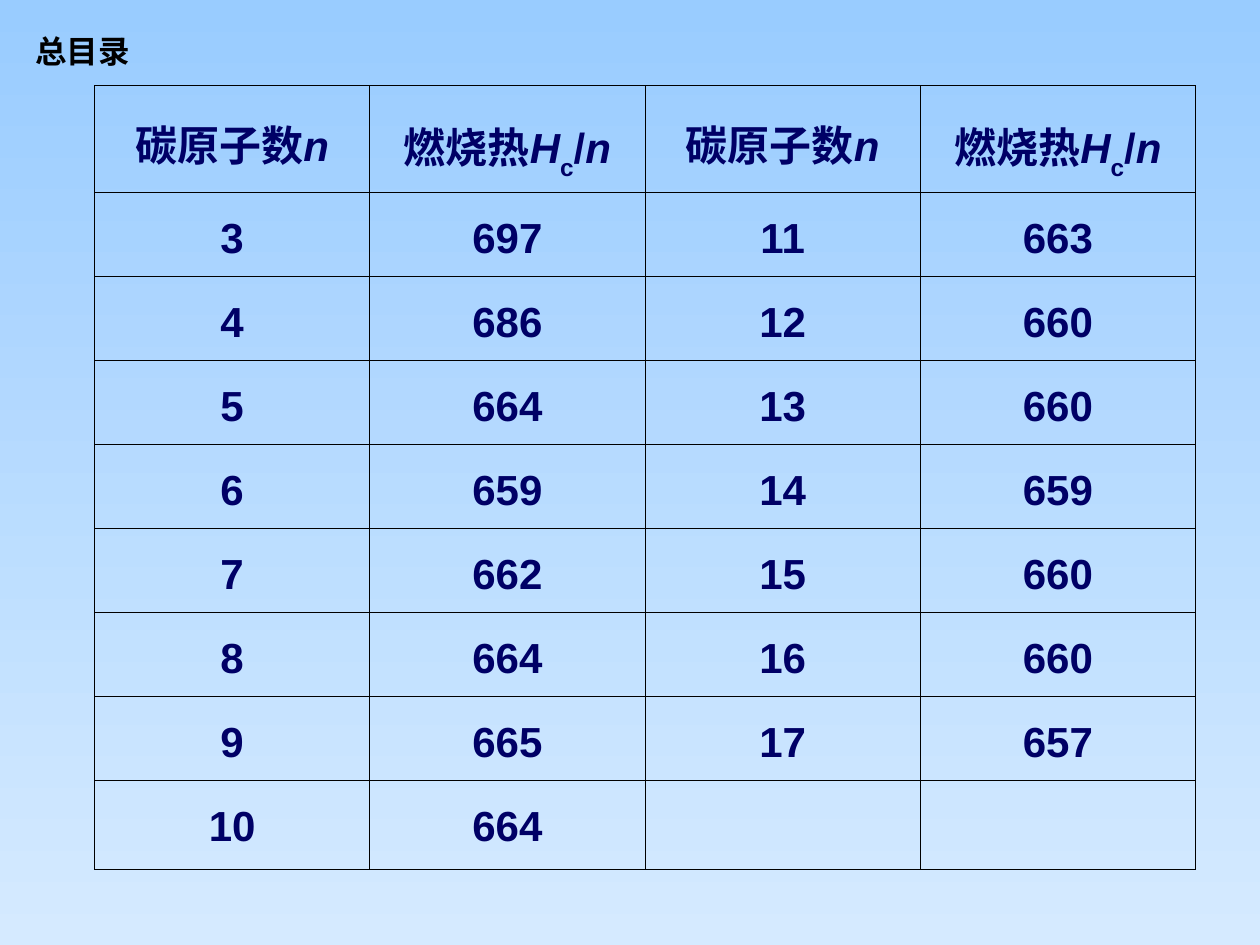
from lxml.etree import SubElement
from pptx import Presentation
from pptx.dml.color import RGBColor
from pptx.enum.text import MSO_AUTO_SIZE as AutoSize, PP_ALIGN as Align
from pptx.oxml.ns import qn
from pptx.util import Pt

COLORS = {"sky": "99CCFF", "pale": "D5EAFF", "navy": "000066", "black": "000000"}
LABEL = "总目录"
CARBON_HEADER = [("碳原子数", ""), ("n", "italic")]
HEAT_HEADER = [("燃烧热", ""), ("H", "italic"), ("c", "subscript"), ("/", ""), ("n", "italic")]
HEATS = [697, 686, 664, 659, 662, 664, 665, 664, 663, 660, 660, 659, 660, 660, 657]
FIRST_CARBON = 3
BODY_ROWS = 8
TABLE_LEFT, TABLE_TOP = 54, 48.8
COLUMN_WIDTH = 157.3
HEADER_HEIGHT, BODY_HEIGHT, LAST_HEIGHT = 61.2, 48, 50.6


def write_text(frame, runs, size=24, font="Arial", color="navy", align=Align.LEFT, spacing=None):
    """Write styled runs into the first paragraph of a text frame."""
    paragraph = frame.paragraphs[0]
    paragraph.alignment = align
    paragraph.line_spacing = spacing
    for text, style in runs:
        run = paragraph.add_run()
        run.text = text
        run.font.size = Pt(size)
        run.font.name = font
        run.font.bold = True
        run.font.italic = style == "italic"
        run.font.color.rgb = RGBColor.from_string(COLORS[color])
        if style == "subscript":
            run.font._element.set("baseline", "-30000")


def add_borders(cell, width=0.4):
    """Draw a thin black line on each side of a cell."""
    properties = cell._tc.get_or_add_tcPr()
    for index, side in enumerate(("a:lnL", "a:lnR", "a:lnT", "a:lnB")):
        line = properties.makeelement(qn(side), {"w": str(Pt(width))})
        fill = SubElement(line, qn("a:solidFill"))
        SubElement(fill, qn("a:srgbClr"), val=COLORS["black"])
        properties.insert(index, line)


def build_rows():
    """Arrange the heats in two side-by-side pairs of columns."""
    rows = [[CARBON_HEADER, HEAT_HEADER] * 2] + [[] for _ in range(BODY_ROWS)]
    for index, heat in enumerate(HEATS):
        row = rows[1 + index % BODY_ROWS]
        row += [[(str(value), "")] for value in (FIRST_CARBON + index, heat)]
    return rows


def add_heat_table(slide):
    """Add the table of combustion heats."""
    rows = build_rows()
    heights = [HEADER_HEIGHT] + [BODY_HEIGHT] * (BODY_ROWS - 1) + [LAST_HEIGHT]
    columns = len(rows[0])
    table = slide.shapes.add_table(
        len(rows), columns, Pt(TABLE_LEFT), Pt(TABLE_TOP),
        Pt(COLUMN_WIDTH * columns), Pt(sum(heights))).table
    table.first_row = table.horz_banding = False
    for column in table.columns:
        column.width = Pt(COLUMN_WIDTH)
    for row, height in zip(table.rows, heights):
        row.height = Pt(height)
    for cell in table.iter_cells():
        cell.fill.background()
        add_borders(cell)
    for row, contents in zip(table.rows, rows):
        for cell, runs in zip(row.cells, contents):
            write_text(cell.text_frame, runs, align=Align.CENTER, spacing=1.35)


def main():
    """Build and save the slide."""
    presentation = Presentation()
    presentation.slide_width, presentation.slide_height = Pt(720), Pt(540)
    slide = presentation.slides.add_slide(presentation.slide_layouts[6])
    background = slide.background.fill
    background.gradient()
    background.gradient_angle = 270
    for stop, name in zip(background.gradient_stops, ("sky", "pale")):
        stop.color.rgb = RGBColor.from_string(COLORS[name])
    add_heat_table(slide)
    label = slide.shapes.add_textbox(Pt(13), Pt(15), Pt(68.4), Pt(28.8)).text_frame
    label.word_wrap = False
    label.auto_size = AutoSize.SHAPE_TO_FIT_TEXT
    write_text(label, [(LABEL, "")], size=18, font="Karla", color="black")
    presentation.save("out.pptx")


if __name__ == "__main__":
    main()
